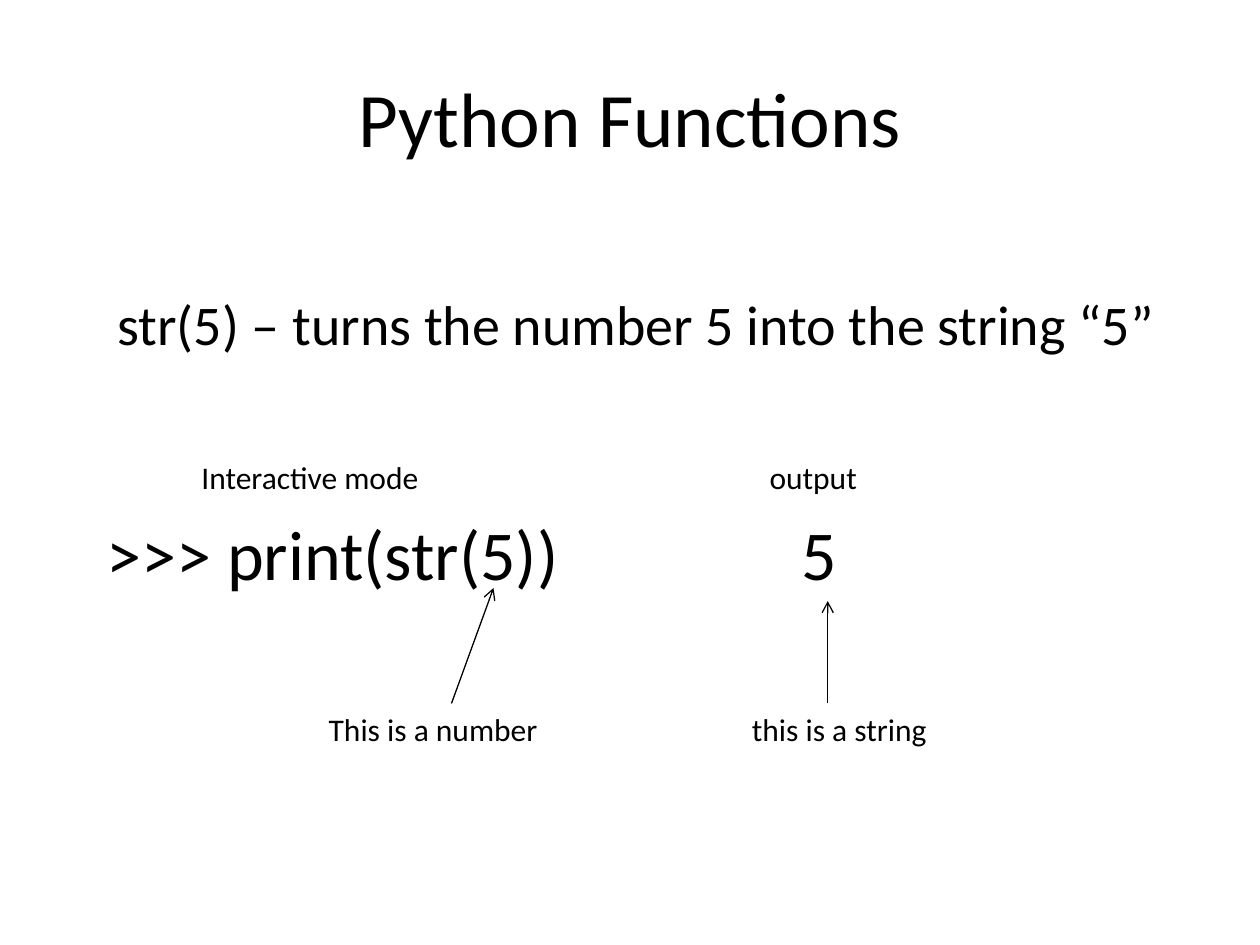
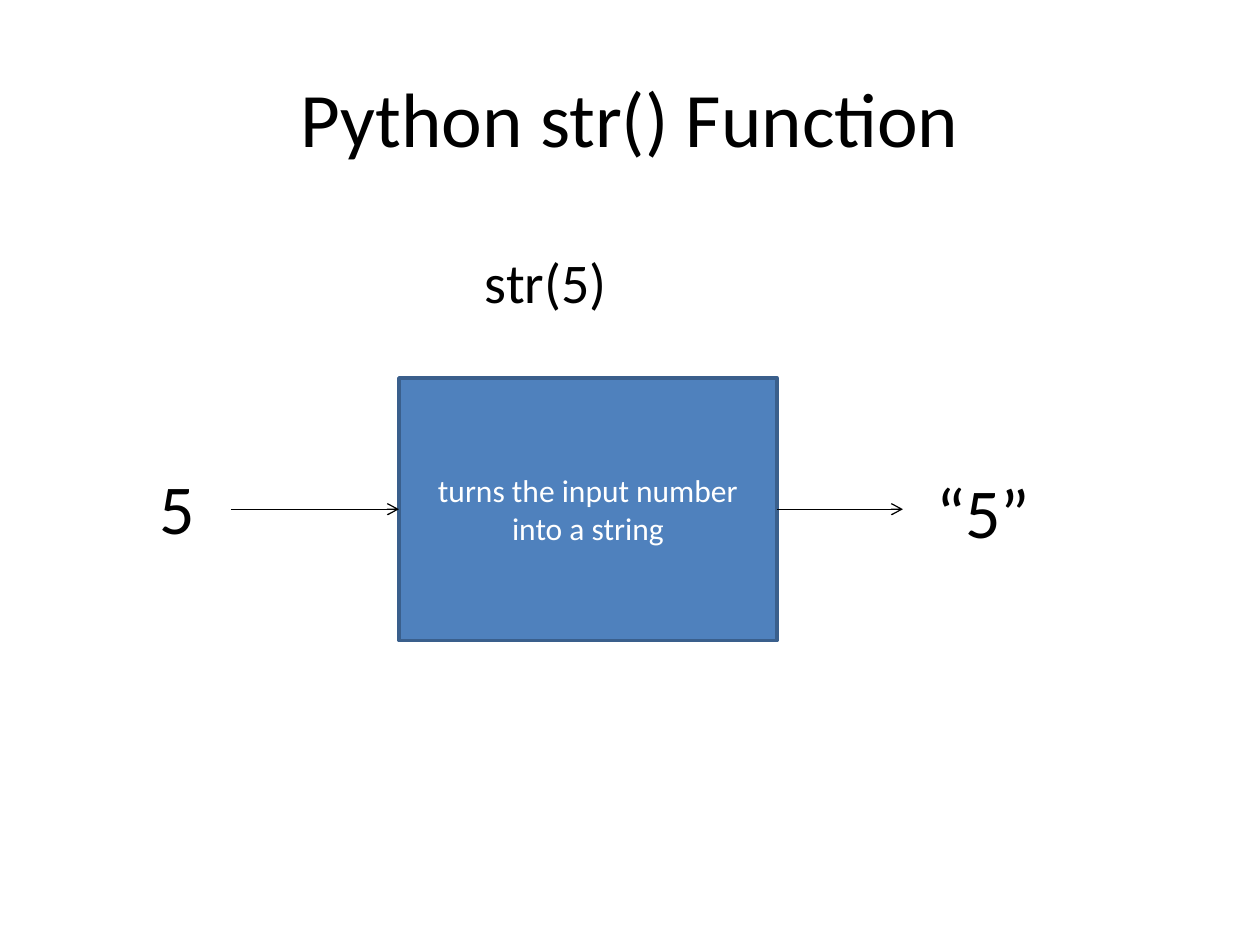
from dataclasses import dataclass

from lxml import etree
from pptx import Presentation
from pptx.dml.color import RGBColor
from pptx.enum import shapes, text
from pptx.oxml import ns
from pptx.util import Pt


@dataclass(frozen=True)
class Theme:
    font: str = "Calibri"
    ink: str = "000000"
    paper: str = "FFFFFF"
    box: str = "4F81BD"
    box_edge: str = "3A5F8C"
    title: int = 44
    code: int = 40
    lead: int = 32
    label: int = 18


THEME = Theme()


def rgb(value):
    return RGBColor.from_string(value)


def style(p, size, color=THEME.ink, align=text.PP_ALIGN.LEFT):
    p.alignment = align
    p.font.name = THEME.font
    p.font.size = Pt(size)
    p.font.color.rgb = rgb(color)


def add_slide(prs, title):
    s = prs.slides.add_slide(prs.slide_layouts[5])
    s.background.fill.solid()
    s.background.fill.fore_color.rgb = rgb(THEME.paper)
    sp = s.shapes.title
    sp.left, sp.top, sp.width, sp.height = Pt(36), Pt(21.6), Pt(648), Pt(90)
    tf = sp.text_frame
    tf.text = title
    tf.vertical_anchor = text.MSO_ANCHOR.MIDDLE
    style(tf.paragraphs[0], THEME.title, align=text.PP_ALIGN.CENTER)
    return s


def add_text(s, content, left, top, width, size, wrap=False):
    height = size * 1.2 + 7.2
    sp = s.shapes.add_textbox(Pt(left), Pt(top), Pt(width), Pt(height))
    tf = sp.text_frame
    tf.word_wrap = wrap
    tf.auto_size = text.MSO_AUTO_SIZE.SHAPE_TO_FIT_TEXT
    tf.text = content
    style(tf.paragraphs[0], size)


def add_arrow(s, x1, y1, x2, y2):
    line = s.shapes.add_connector(
        shapes.MSO_CONNECTOR.STRAIGHT, Pt(x1), Pt(y1), Pt(x2), Pt(y2))
    line.line.color.rgb = rgb(THEME.ink)
    line.line.width = Pt(0.75)
    etree.SubElement(line.line._get_or_add_ln(), ns.qn("a:tailEnd"), type="arrow")
    etree.SubElement(line._element.spPr, ns.qn("a:effectLst"))


def add_box(s, lines, left, top, width, height):
    sp = s.shapes.add_shape(
        shapes.MSO_SHAPE.RECTANGLE, Pt(left), Pt(top), Pt(width), Pt(height))
    sp.shadow.inherit = False
    sp.fill.solid()
    sp.fill.fore_color.rgb = rgb(THEME.box)
    sp.line.color.rgb = rgb(THEME.box_edge)
    sp.line.width = Pt(2)
    tf = sp.text_frame
    tf.vertical_anchor = text.MSO_ANCHOR.MIDDLE
    tf.text = "\n".join(lines)
    for p in tf.paragraphs:
        style(p, THEME.label, THEME.paper, text.PP_ALIGN.CENTER)


def functions_slide(prs):
    s = add_slide(prs, "Python Functions")
    add_text(s, "str(5) – turns the number 5 into the string “5” ",
             60, 162, 620.6, THEME.lead)

    label_top, code_top, note_top = 258, 288, 402
    add_text(s, "Interactive mode", 108, label_top, 140.4, THEME.label)
    add_text(s, "output", 432.7, label_top, 64.8, THEME.label)
    add_text(s, ">>> print(str(5))", 54, code_top, 275, THEME.code)
    add_text(s, "5 ", 450.7, code_top, 43.9, THEME.code)
    add_text(s, "This is a number", 180.7, note_top, 135.4, THEME.label)
    add_text(s, "this is a string", 422.6, note_top, 115.2, THEME.label)
    add_arrow(s, 258, note_top, 282, 336)
    add_arrow(s, 473, note_top, 473, 343.5)


def str_slide(prs):
    s = add_slide(prs, "Python str() Function")
    left, top, width, height = 228, 216, 216, 150
    right, middle = left + width, top + height / 2
    add_box(s, ["turns the input number", "into a string"],
            left, top, width, height)
    add_text(s, "str(5)", 270, 138, 138, THEME.lead, wrap=True)
    add_text(s, "5", 84, 262, 35.3, THEME.code)
    add_text(s, "“5”", 528, 264, 69, THEME.code)
    add_arrow(s, 132, middle, left, middle)
    add_arrow(s, right, middle, right + 72, middle)


def main():
    prs = Presentation()
    prs.slide_width, prs.slide_height = Pt(720), Pt(540)
    functions_slide(prs)
    str_slide(prs)
    prs.save("out.pptx")


main()
